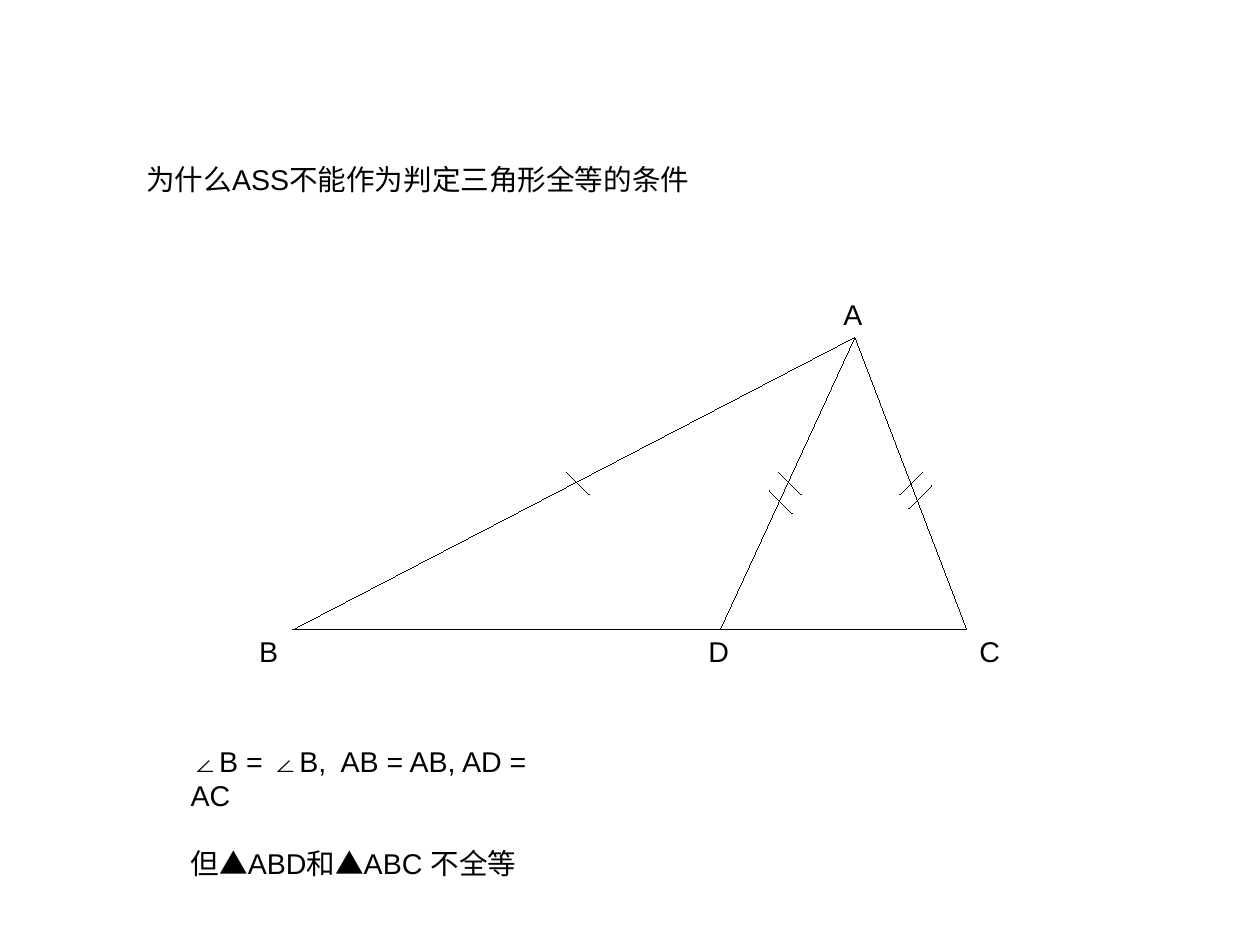
"""Builds a geometry slide showing why ASS does not prove congruence."""
from dataclasses import dataclass

from lxml.etree import SubElement
from pptx import Presentation
from pptx.dml.color import RGBColor
from pptx.enum.shapes import MSO_CONNECTOR
from pptx.enum.text import MSO_ANCHOR, PP_ALIGN
from pptx.oxml.ns import qn
from pptx.util import Cm, Inches, Pt


@dataclass(frozen=True)
class Theme:
    font: str = "Arial"
    size: int = 18
    ink: RGBColor = RGBColor(0, 0, 0)
    line: int = 0
    gap: int = 21


class Board:
    def __init__(self, slide, theme):
        self.slide = slide
        self.theme = theme

    def style(self, shape, lines, wrap):
        frame = shape.text_frame
        frame.text = "\n".join(lines)
        frame.word_wrap = wrap
        frame.vertical_anchor = MSO_ANCHOR.TOP
        frame.margin_left = frame.margin_right = Inches(0.1)
        frame.margin_top = frame.margin_bottom = Inches(0.05)
        for order, para in enumerate(frame.paragraphs):
            para.alignment = PP_ALIGN.LEFT
            para.space_before = Pt(self.theme.gap if order else 0)
            for run in para.runs:
                run.font.name = self.theme.font
                run.font.size = Pt(self.theme.size)
                run.font.color.rgb = self.theme.ink

    def title(self, text, left, top, width, height):
        shape = self.slide.shapes.title
        shape.left, shape.top = Inches(left), Inches(top)
        shape.width, shape.height = Inches(width), Inches(height)
        self.style(shape, [text], False)

    def text(self, lines, left, top, width, height, wrap=False):
        box = self.slide.shapes.add_textbox(
            Inches(left), Inches(top), Inches(width), Inches(height))
        self.style(box, lines, wrap)

    def line(self, start, end):
        ends = [Inches(value) for value in (*start, *end)]
        edge = self.slide.shapes.add_connector(MSO_CONNECTOR.STRAIGHT, *ends)
        edge.line.color.rgb = self.theme.ink
        props = edge._element.spPr
        props.find(qn("a:ln")).set("w", str(Pt(self.theme.line)))
        SubElement(props, qn("a:effectLst"))

    def tick(self, x, y, lean):
        half = 0.1
        self.line((x - lean * half, y - half), (x + lean * half, y + half))


def main():
    deck = Presentation()
    deck.slide_width = Cm(28)
    deck.slide_height = Cm(21)
    board = Board(deck.slides.add_slide(deck.slide_layouts[5]), Theme())

    board.title("为什么ASS不能作为判定三角形全等的条件", 1.18, 1.37, 5.08, 0.46)

    points = {"A": (7.48, 2.95), "B": (2.56, 5.51),
              "C": (8.46, 5.51), "D": (6.3, 5.51)}
    for start, end in ("AD", "AC", "BC", "BA"):
        board.line(points[start], points[end])

    labels = {"A": (7.28, 2.55, 0.36), "B": (2.17, 5.5, 0.36),
              "D": (6.1, 5.5, 0.38), "C": (8.47, 5.5, 0.38)}
    for name, (left, top, width) in labels.items():
        board.text([name], left, top, width, 0.38)

    ticks = [(5.06, 4.23, 1), (6.91, 4.23, 1), (6.83, 4.39, 1),
             (7.97, 4.23, -1), (8.05, 4.35, -1)]
    for x, y, lean in ticks:
        board.tick(x, y, lean)

    proof = ["∠B = ∠B,  AB = AB, AD = AC", "但▲ABD和▲ABC 不全等"]
    board.text(proof, 1.57, 6.46, 3.46, 1.02, wrap=True)

    deck.save("out.pptx")


if __name__ == "__main__":
    main()
